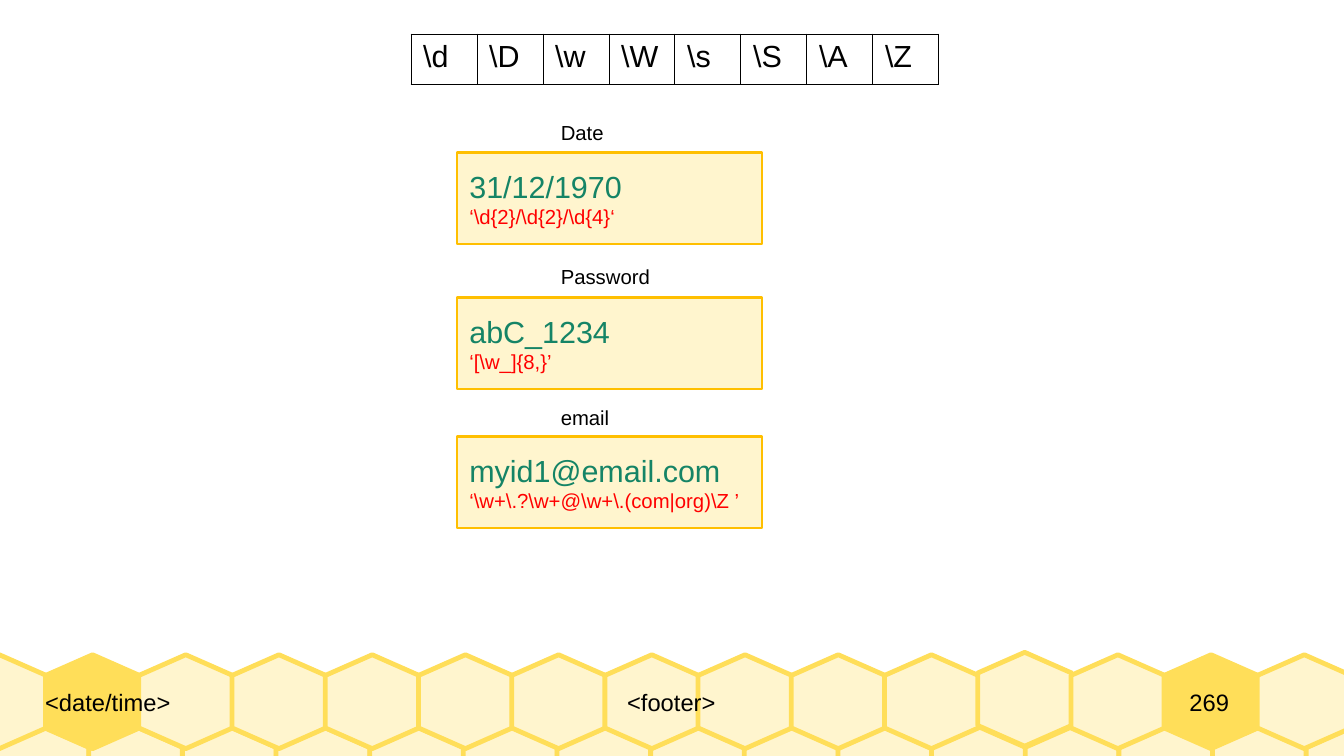
"""Build a slide of regular expression examples above a honeycomb footer."""
from dataclasses import dataclass

import pptx
import pptx.dml.color
import pptx.enum.text
import pptx.enum.shapes
import pptx.oxml
import pptx.oxml.ns
import pptx.shapes.autoshape
import pptx.slide
import pptx.table
import pptx.text.text
import pptx.util
from pptx.util import Inches

ALIGN = pptx.enum.text.PP_ALIGN
ANCHOR = pptx.enum.text.MSO_ANCHOR
BLACK, CREAM, YELLOW, AMBER = "000000", "FFF5CE", "FFDE59", "FFBF00"
GREEN, RED = "158466", "FF0000"
HEX_SIZE, HEX_SHOULDER = 0.77, 0.17
HEX_COUNT = 15
CLASSES = [r"\d", r"\D", r"\w", r"\W", r"\s", r"\S", r"\A", r"\Z"]


@dataclass
class Example:
    label: str
    label_top: float
    label_width: float
    box_top: float
    sample: str
    pattern: str


@dataclass
class HexRow:
    first_left: float
    last_left: float
    top: float
    highlighted: tuple[int, ...] = ()
    raised: tuple[int, ...] = ()


@dataclass
class FooterText:
    text: str
    left: float
    width: float
    align: ALIGN


EXAMPLES = [
    Example("Date", 0.94, 0.55, 1.25, "31/12/1970", r"‘\d{2}/\d{2}/\d{4}‘"),
    Example("Password", 2.12, 0.93, 2.44, "abC_1234", r"‘[\w_]{8,}’"),
    Example("email", 3.27, 0.6, 3.58, "myid1@email.com", r"‘\w+\.?\w+@\w+\.(com|org)\Z ’"),
]
HEX_ROWS = [
    HexRow(-0.04, 10.71, 5.96),
    HexRow(-0.39, 10.31, 5.37, highlighted=(1, 13), raised=(11,)),
]
FOOTER_TEXTS = [
    FooterText("<date/time>", 0.37, 2.63, ALIGN.LEFT),
    FooterText("<footer>", 3, 5.01, ALIGN.CENTER),
    FooterText("269", 9.29, 1.25, ALIGN.CENTER),
]


def rgb(value: str) -> pptx.dml.color.RGBColor:
    """Turn a hex string into a colour."""
    return pptx.dml.color.RGBColor.from_string(value)


def style_shape(shape: pptx.shapes.autoshape.Shape, fill: str, line: str, weight: float) -> None:
    """Give a shape a solid fill and outline without shadow."""
    shape.shadow.inherit = False
    shape.fill.solid()
    shape.fill.fore_color.rgb = rgb(fill)
    shape.line.color.rgb = rgb(line)
    shape.line.width = pptx.util.Pt(weight)


def write(para: pptx.text.text._Paragraph, text: str, size: float, color: str = BLACK,
          align: ALIGN = ALIGN.LEFT) -> None:
    """Fill a paragraph with text in one style."""
    para.text = text
    para.alignment = align
    para.font.name = "Arial"
    para.font.size = pptx.util.Pt(size)
    para.font.color.rgb = rgb(color)


def draw_hexagon(page: pptx.slide.Slide, left: float, top: float, fill: str) -> None:
    """Draw one honeycomb cell."""
    middle, right = left + HEX_SIZE / 2, left + HEX_SIZE
    upper, lower = top + HEX_SHOULDER, top + HEX_SIZE - HEX_SHOULDER
    points = [(left, upper), (left, lower), (middle, top + HEX_SIZE), (right, lower), (right, upper)]
    outline = page.shapes.build_freeform(Inches(middle), Inches(top))
    outline.add_line_segments([(Inches(x), Inches(y)) for x, y in points], close=True)
    style_shape(outline.convert_to_shape(), fill, YELLOW, 2.83)


def draw_hex_row(page: pptx.slide.Slide, row: HexRow) -> None:
    """Draw an evenly spaced row of honeycomb cells."""
    pitch = (row.last_left - row.first_left) / (HEX_COUNT - 1)
    for index in range(HEX_COUNT):
        top = row.top - 0.02 if index in row.raised else row.top
        fill = YELLOW if index in row.highlighted else CREAM
        draw_hexagon(page, row.first_left + index * pitch, top, fill)


def draw_footer_text(page: pptx.slide.Slide, footer: FooterText) -> None:
    """Place one footer text over the honeycomb."""
    box = page.shapes.add_textbox(Inches(footer.left), Inches(5.37), Inches(footer.width), Inches(HEX_SIZE))
    frame = box.text_frame
    frame.word_wrap = True
    frame.vertical_anchor = ANCHOR.MIDDLE
    frame.margin_left = frame.margin_right = frame.margin_top = frame.margin_bottom = 0
    write(frame.paragraphs[0], footer.text, 14, align=footer.align)


def add_borders(cell: pptx.table._Cell) -> None:
    """Outline a table cell with thin black lines."""
    properties = cell._tc.get_or_add_tcPr()
    for position, side in enumerate(("lnL", "lnR", "lnT", "lnB")):
        border = pptx.oxml.parse_xml(
            f'<a:{side} {pptx.oxml.ns.nsdecls("a")} w="{pptx.util.Pt(0.57)}">'
            f'<a:solidFill><a:srgbClr val="{BLACK}"/></a:solidFill></a:{side}>')
        properties.insert(position, border)


def draw_class_table(page: pptx.slide.Slide) -> None:
    """Draw the one-row table of character classes."""
    table = page.shapes.add_table(
        1, len(CLASSES), Inches(3.37), Inches(0.28), Inches(4.33), Inches(0.41)).table
    table.first_row = False
    table.horz_banding = False
    for cell, text in zip(table.iter_cells(), CLASSES):
        cell.fill.background()
        add_borders(cell)
        write(cell.text_frame.paragraphs[0], text, 18)


def draw_example(page: pptx.slide.Slide, example: Example) -> None:
    """Draw a label above a box with a sample and its pattern."""
    label = page.shapes.add_textbox(
        Inches(4.5), Inches(example.label_top), Inches(example.label_width), Inches(0.29))
    label.text_frame.word_wrap = False
    label.text_frame.auto_size = pptx.enum.text.MSO_AUTO_SIZE.SHAPE_TO_FIT_TEXT
    write(label.text_frame.paragraphs[0], example.label, 12)

    box = page.shapes.add_shape(
        pptx.enum.shapes.MSO_SHAPE.RECTANGLE, Inches(3.75), Inches(example.box_top), Inches(2.5), Inches(0.75))
    style_shape(box, CREAM, AMBER, 1.42)
    frame = box.text_frame
    frame.word_wrap = True
    frame.vertical_anchor = ANCHOR.MIDDLE
    write(frame.paragraphs[0], example.sample, 18, GREEN, ALIGN.JUSTIFY)
    write(frame.add_paragraph(), example.pattern, 12, RED, ALIGN.JUSTIFY)


def main() -> None:
    """Build and save the deck."""
    deck = pptx.Presentation()
    deck.slide_width, deck.slide_height = Inches(11.02), Inches(6.2)
    page = deck.slides.add_slide(deck.slide_layouts[6])
    for row in HEX_ROWS:
        draw_hex_row(page, row)
    for footer in FOOTER_TEXTS:
        draw_footer_text(page, footer)
    draw_class_table(page)
    for example in EXAMPLES:
        draw_example(page, example)
    deck.save("out.pptx")


if __name__ == "__main__":
    main()
